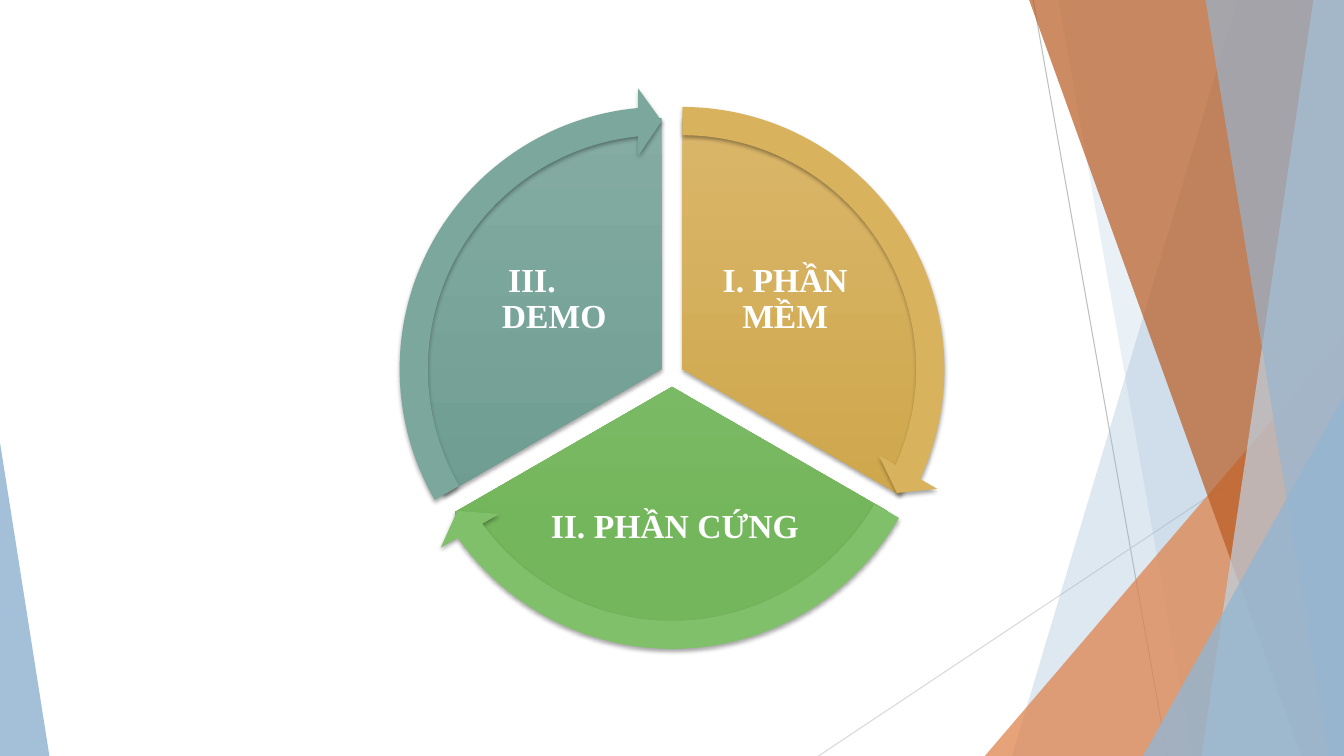
from dataclasses import dataclass
from math import cos, radians, sin

from lxml import etree
from pptx import Presentation
from pptx.dml.color import RGBColor
from pptx.enum.shapes import MSO_CONNECTOR, MSO_SHAPE
from pptx.enum.text import MSO_ANCHOR, PP_ALIGN
from pptx.oxml.ns import qn
from pptx.shapes.autoshape import Shape
from pptx.shapes.shapetree import GroupShapes
from pptx.util import Emu, Pt

STRAIGHT = MSO_CONNECTOR.STRAIGHT
TRIANGLE, PIE, ARROW = MSO_SHAPE.ISOSCELES_TRIANGLE, MSO_SHAPE.PIE, MSO_SHAPE.CIRCULAR_ARROW
MIDDLE, CENTER = MSO_ANCHOR.MIDDLE, PP_ALIGN.CENTER

# The slide is a grid of square cells
COLS, ROWS = 160, 90
CELL = 76200

WHITE = RGBColor(0xFF, 0xFF, 0xFF)
BLUE = RGBColor(0x94, 0xB6, 0xD2)
PALE_BLUE = RGBColor(0xBF, 0xD3, 0xE4)
ORANGE = RGBColor(0xDD, 0x80, 0x47)
RUST = RGBColor(0xB9, 0x5B, 0x22)
GREY = RGBColor(0xBF, 0xBF, 0xBF)
PALE_GREY = RGBColor(0xD9, 0xD9, 0xD9)
GOLD = RGBColor(0xD8, 0xB2, 0x5C)
GOLD_TOP = RGBColor(0xDA, 0xB6, 0x6A)
GOLD_BASE = RGBColor(0xCE, 0xA6, 0x4B)
GREEN = RGBColor(0x81, 0xC0, 0x6B)
GREEN_TOP = RGBColor(0x8A, 0xC3, 0x76)
GREEN_BASE = RGBColor(0x74, 0xB6, 0x5C)
TEAL = RGBColor(0x7B, 0xA7, 0x9D)
TEAL_TOP = RGBColor(0x84, 0xAC, 0xA2)
TEAL_BASE = RGBColor(0x6E, 0x9C, 0x91)

FONT = "Times New Roman"
HUB_COL, HUB_ROW = 80, 44.64
SPREAD = 1.42
PIE_SIZE, ARROW_SIZE = 59.76, 67.08
HALF_SECTOR = 60
TURN = 0.6  # adjustment units per degree
HEAD_ANGLE = 3.28


@dataclass(frozen=True)
class Line:
    start: tuple[float, float]
    end: tuple[float, float]
    color: RGBColor


@dataclass(frozen=True)
class Band:
    """Area from a slanted edge to the right side of the slide."""
    top_col: float
    bottom_col: float
    color: RGBColor
    opacity: int


@dataclass(frozen=True)
class Corner:
    """Right triangle standing on the bottom of the slide."""
    col: float
    row: float
    width: float
    apex: float
    color: RGBColor
    opacity: int


@dataclass(frozen=True)
class Sector:
    text: str
    middle: int
    box: tuple[float, float, float, float]
    top: RGBColor
    base: RGBColor
    arrow: RGBColor


LINES = [
    Line((123, 0), (138.96, ROWS), GREY),
    Line((COLS, 48.36), (97.44, ROWS), PALE_GREY),
]
FACETS = [
    Band(147.36, 120.48, BLUE, 30),
    Band(126, 141.96, BLUE, 20),
    Corner(117.24, 40, 42.76, 1, ORANGE, 72),
    Band(122.52, 154.92, RUST, 70),
    Band(156.36, 143.04, PALE_BLUE, 70),
    Band(143.52, 158.16, BLUE, 65),
    Corner(136.08, 47.16, 23.92, 1, BLUE, 80),
    Corner(0, 52.68, 5.88, 0, BLUE, 85),
]
SECTORS = [
    Sector("I. PHẦN MỀM", 330, (82.8, 26.76, 21.36, 17.76), GOLD_TOP, GOLD_BASE, GOLD),
    Sector("II. PHẦN CỨNG", 90, (64.32, 54.96, 32.04, 15.6), GREEN_TOP, GREEN_BASE, GREEN),
    Sector("III. \t DEMO ", 210, (55.8, 26.76, 21.36, 17.76), TEAL_TOP, TEAL_BASE, TEAL),
]


def cells(*counts: float) -> list[Emu]:
    return [Emu(round(n * CELL)) for n in counts]


def draw_line(shapes: GroupShapes, line: Line) -> None:
    c = shapes.add_connector(STRAIGHT, *cells(*line.start, *line.end))
    c.line.color.rgb = line.color
    c.line.width = Pt(0.75)
    etree.SubElement(c.element.spPr, qn("a:effectLst"))


def draw_facet(shapes: GroupShapes, facet: Band | Corner) -> None:
    if isinstance(facet, Band):
        builder = shapes.build_freeform(*cells(facet.top_col, 0))
        edge = [(COLS, 0), (COLS, ROWS), (facet.bottom_col, ROWS)]
        builder.add_line_segments([cells(*point) for point in edge])
        sp = builder.convert_to_shape()
    else:
        box = cells(facet.col, facet.row, facet.width, ROWS - facet.row)
        sp = shapes.add_shape(TRIANGLE, *box)
        sp.adjustments[0] = facet.apex
    sp.shadow.inherit = False
    sp.line.fill.background()
    sp.fill.solid()
    sp.fill.fore_color.rgb = facet.color
    color = sp.element.spPr.find(qn("a:solidFill")).find(qn("a:srgbClr"))
    etree.SubElement(color, qn("a:alpha"), val=str(facet.opacity * 1000))


def add_round(shapes: GroupShapes, kind: MSO_SHAPE, sector: Sector, size: float) -> Shape:
    """Add a shadowed round shape, moved off the hub along the sector's middle."""
    angle = radians(sector.middle)
    col = HUB_COL + SPREAD * cos(angle) - size / 2
    row = HUB_ROW + SPREAD * sin(angle) - size / 2
    sp = shapes.add_shape(kind, *cells(col, row, size, size))
    sp.line.fill.background()
    sp.shadow.inherit = False
    effects = sp.element.spPr.find(qn("a:effectLst"))
    shadow = etree.SubElement(effects, qn("a:outerShdw"), blurRad=str(Pt(3)),
                              dist=str(Pt(2)), dir="5400000", rotWithShape="0")
    color = etree.SubElement(shadow, qn("a:srgbClr"), val="000000")
    etree.SubElement(color, qn("a:alpha"), val="35000")
    return sp


def sector_turns(sector: Sector) -> tuple[float, float]:
    """Start and end of the sector in adjustment units."""
    start = (sector.middle - HALF_SECTOR) % 360 * TURN
    end = (sector.middle + HALF_SECTOR) % 360 * TURN
    return start, end


def draw_pie(shapes: GroupShapes, sector: Sector) -> None:
    sp = add_round(shapes, PIE, sector, PIE_SIZE)
    sp.adjustments[0], sp.adjustments[1] = sector_turns(sector)
    sp.fill.gradient()
    sp.fill.gradient_angle = 270
    stops = zip(sp.fill.gradient_stops, (0, 0.78), (sector.top, sector.base))
    for stop, position, color in stops:
        stop.position = position
        stop.color.rgb = color


def draw_label(shapes: GroupShapes, sector: Sector) -> None:
    tf = shapes.add_textbox(*cells(*sector.box)).text_frame
    tf.word_wrap = True
    tf.vertical_anchor = MIDDLE
    tf.margin_left, tf.margin_top, tf.margin_right, tf.margin_bottom = cells(*[0.4] * 4)
    p = tf.paragraphs[0]
    p.add_run().text = sector.text
    p.alignment = CENTER
    p.line_spacing = 0.9
    p.font.name = FONT
    p.font.size = Pt(24)
    p.font.bold = True
    p.font.color.rgb = WHITE


def draw_arrow(shapes: GroupShapes, sector: Sector) -> None:
    sp = add_round(shapes, ARROW, sector, ARROW_SIZE)
    start, end = sector_turns(sector)
    for i, value in enumerate((0.05, HEAD_ANGLE, end - HEAD_ANGLE, start, 0.06)):
        sp.adjustments[i] = value
    sp.fill.solid()
    sp.fill.fore_color.rgb = sector.arrow


def main() -> None:
    prs = Presentation()
    prs.slide_width, prs.slide_height = cells(COLS, ROWS)
    s = prs.slides.add_slide(prs.slide_layouts[6])
    backdrop = s.shapes.add_group_shape().shapes
    for line in LINES:
        draw_line(backdrop, line)
    for facet in FACETS:
        draw_facet(backdrop, facet)
    cycle = s.shapes.add_group_shape().shapes
    for sector in SECTORS:
        draw_pie(cycle, sector)
        draw_label(cycle, sector)
    for sector in SECTORS:
        draw_arrow(cycle, sector)
    prs.save("out.pptx")


if __name__ == "__main__":
    main()
